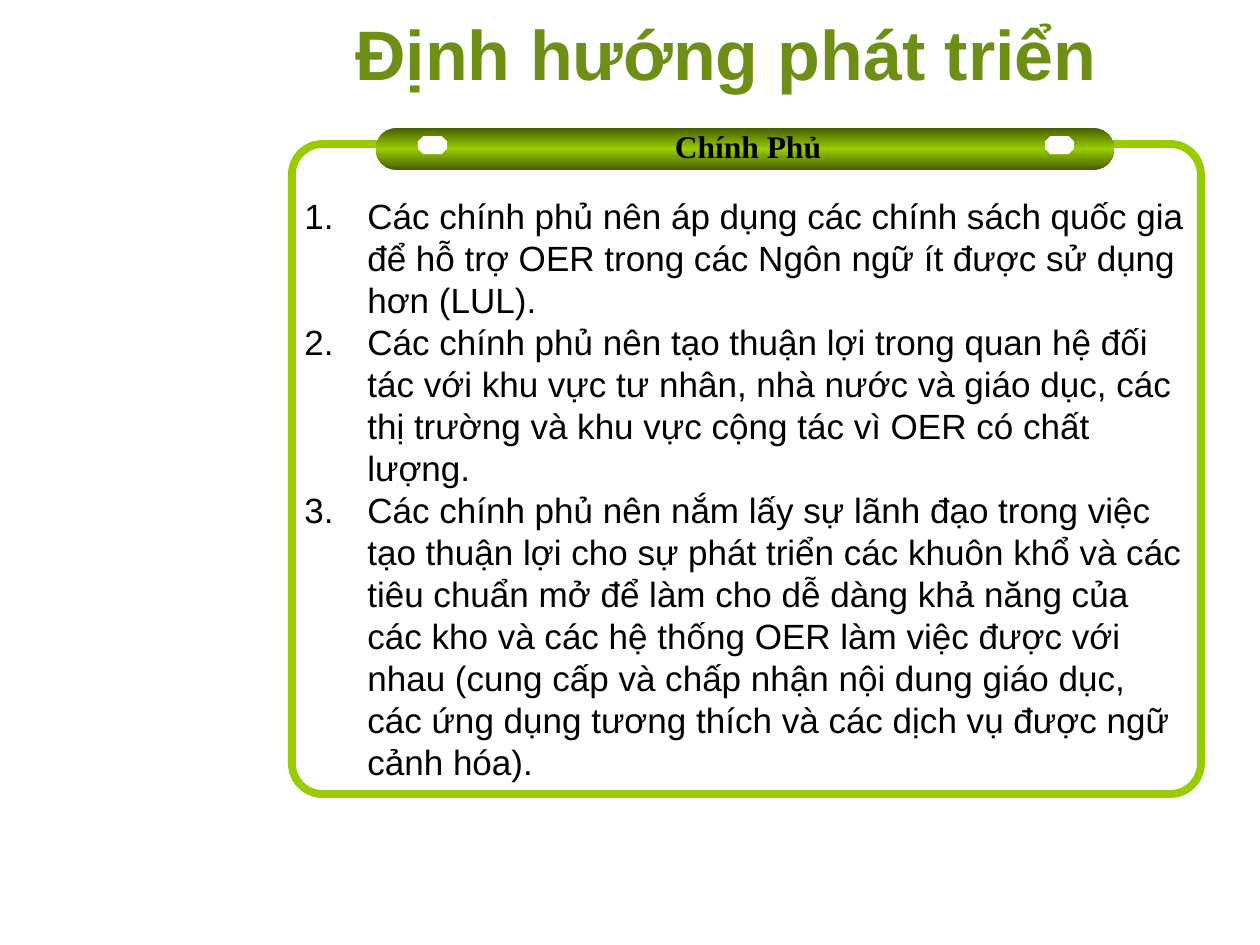
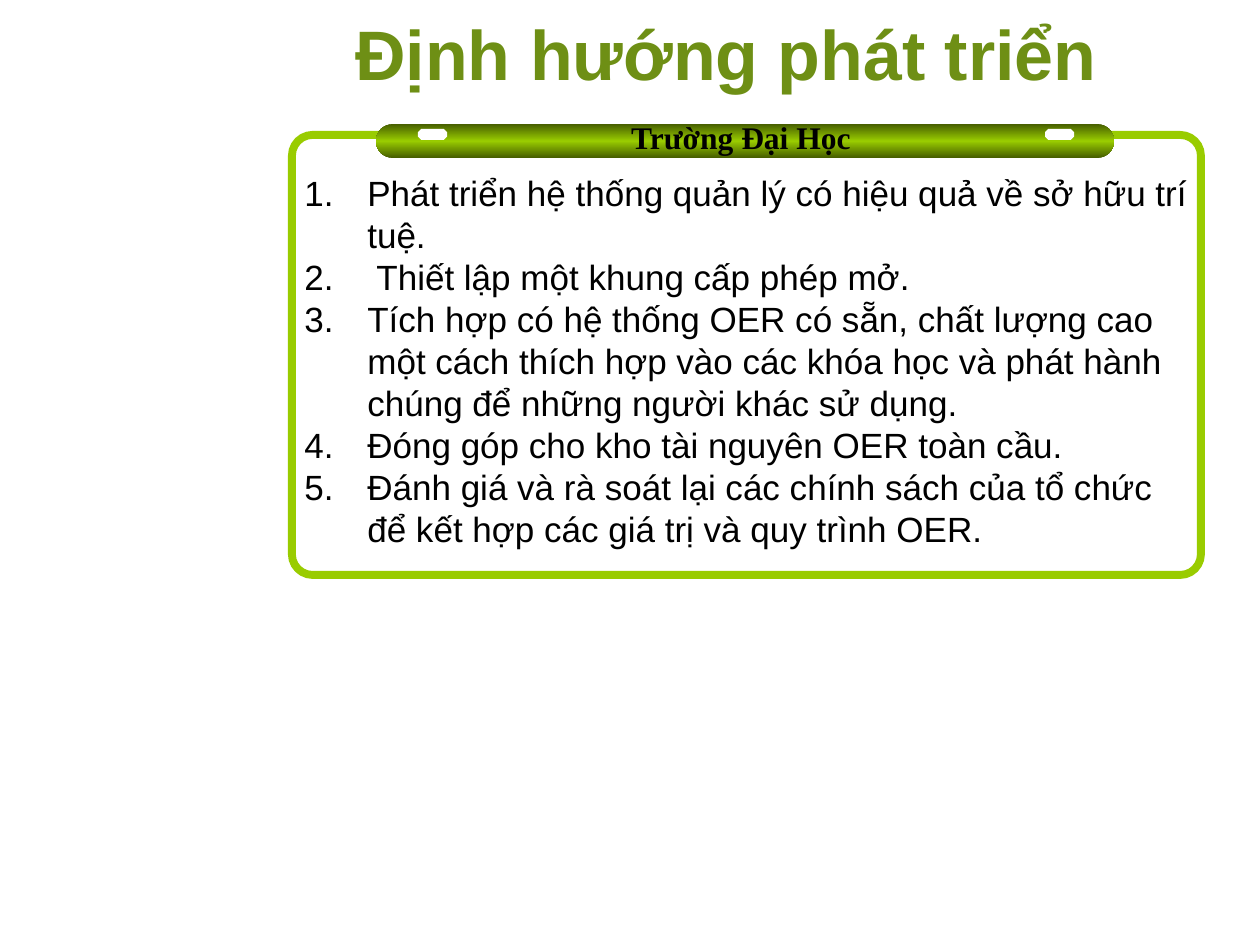
import dataclasses

import pptx
import pptx.dml.color
import pptx.enum.shapes
import pptx.enum.text
import pptx.oxml.xmlchemy
import pptx.util
import copy
import lxml.etree

SHAPES = pptx.enum.shapes.MSO_SHAPE
ALIGN = pptx.enum.text.PP_ALIGN
ANCHOR = pptx.enum.text.MSO_ANCHOR
DRAWING_NS = "{http://schemas.openxmlformats.org/drawingml/2006/main}"
PX_PER_INCH = 126


def rgb(code):
    return pptx.dml.color.RGBColor.from_string(code)


@dataclasses.dataclass(frozen=True)
class Theme:
    lime = rgb("99CC00")
    dark_lime = rgb("465E00")
    white = rgb("FFFFFF")
    frame_line = pptx.util.Pt(4.5)
    corner = 0.047
    title = dict(name="Arial", size=pptx.util.Pt(40), bold=True, color=rgb("6E8F15"))
    label = dict(name="Times New Roman", size=pptx.util.Pt(18), bold=True, color=rgb("000000"))
    body = dict(name="Arial", size=pptx.util.Pt(20), bold=False, color=rgb("000000"))


@dataclasses.dataclass(frozen=True)
class Box:
    left: int
    top: int
    width: int
    height: int

    def inside(self, left, top, width, height):
        return Box(self.left + left, self.top + top, width, height)

    def emu(self):
        return [px(n) for n in (self.left, self.top, self.width, self.height)]


@dataclasses.dataclass(frozen=True)
class Panel:
    """Frame box, heading and list; *_top values are offsets from the frame, or from the bar."""
    frame: Box
    heading: str
    items: tuple
    bar_top: int
    bar_height: int
    rivet_top: int
    rivet_height: int
    label_left: int
    label_top: int
    body_top: int


THEME = Theme()
TITLE = "Định hướng phát triển"
TITLE_BOX = Box(343, 21, 776, 63)

PANELS = (
    Panel(
        Box(292, 144, 909, 650), "Chính Phủ",
        (
            "Các chính phủ nên áp dụng các chính sách quốc gia để hỗ trợ OER trong các "
            "Ngôn ngữ ít được sử dụng hơn (LUL).",
            "Các chính phủ nên tạo thuận lợi trong quan hệ đối tác với khu vực tư nhân, "
            "nhà nước và giáo dục, các thị trường và khu vực cộng tác vì OER có chất lượng.",
            "Các chính phủ nên nắm lấy sự lãnh đạo trong việc tạo thuận lợi cho sự phát "
            "triển các khuôn khổ và các tiêu chuẩn mở để làm cho dễ dàng khả năng của các "
            "kho và các hệ thống OER làm việc được với nhau (cung cấp và chấp nhận nội dung "
            "giáo dục, các ứng dụng tương thích và các dịch vụ được ngữ cảnh hóa).",
        ),
        bar_top=-16, bar_height=42, rivet_top=8, rivet_height=18,
        label_left=305, label_top=-7, body_top=44,
    ),
    Panel(
        Box(292, 135, 909, 440), "Trường Đại Học",
        (
            "Phát triển hệ thống quản lý có hiệu quả về sở hữu trí tuệ.",
            " Thiết lập một khung cấp phép mở.",
            "Tích hợp có hệ thống OER có sẵn, chất lượng cao một cách thích hợp vào các "
            "khóa học và phát hành chúng để những người khác sử dụng.",
            "Đóng góp cho kho tài nguyên OER toàn cầu.",
            "Đánh giá và rà soát lại các chính sách của tổ chức để kết hợp các giá trị "
            "và quy trình OER.",
        ),
        bar_top=-11, bar_height=34, rivet_top=5, rivet_height=11,
        label_left=298, label_top=-12, body_top=30,
    ),
)


def px(count):
    return pptx.util.Emu(round(count * 914400 / PX_PER_INCH))


def add_preset(slide, preset, box):
    shape = slide.shapes.add_shape(preset, *box.emu())
    shape.shadow.inherit = False
    shape.line.fill.background()
    return shape


def add_text(slide, box, lines, style, align=ALIGN.LEFT, anchor=ANCHOR.TOP):
    frame = slide.shapes.add_textbox(*box.emu()).text_frame
    frame.word_wrap = True
    frame.vertical_anchor = anchor
    frame.text = "\n".join(lines)
    for paragraph in frame.paragraphs:
        paragraph.alignment = align
        for attribute, value in style.items():
            if attribute == "color":
                paragraph.runs[0].font.color.rgb = value
            else:
                setattr(paragraph.runs[0].font, attribute, value)
    return frame


def number_paragraphs(frame, indent):
    for paragraph in frame.paragraphs:
        properties = paragraph._p.get_or_add_pPr()
        properties.set("marL", str(indent))
        properties.set("indent", str(-indent))
        lxml.etree.SubElement(properties, DRAWING_NS + "buAutoNum", type="arabicPeriod")


def fill_cylinder(shape):
    """Shade from dark edges to a light middle, top to bottom."""
    fill = shape.fill
    fill.gradient()
    fill.gradient_angle = 90
    edge, middle = fill.gradient_stops
    edge.color.rgb, edge.position = THEME.dark_lime, 0
    middle.color.rgb, middle.position = THEME.lime, 0.5
    far_edge = copy.deepcopy(edge._gs)
    far_edge.set("pos", "100000")
    middle._gs.addnext(far_edge)


def add_heading_bar(slide, box, panel):
    bar = add_preset(slide, SHAPES.ROUNDED_RECTANGLE, box)
    bar.adjustments[0] = 0.5
    fill_cylinder(bar)
    for rivet_left in (42, 669):
        rivet = add_preset(slide, SHAPES.OCTAGON,
                           box.inside(rivet_left, panel.rivet_top, 29, panel.rivet_height))
        rivet.fill.solid()
        rivet.fill.fore_color.rgb = THEME.white
    label_box = Box(panel.frame.left + panel.label_left, box.top + panel.label_top, 302, 46)
    add_text(slide, label_box, [panel.heading], THEME.label, ALIGN.CENTER)


def add_panel(slide, panel):
    box = panel.frame
    border = add_preset(slide, SHAPES.ROUNDED_RECTANGLE, box)
    border.adjustments[0] = THEME.corner
    border.fill.background()
    border.line.color.rgb = THEME.lime
    border.line.width = THEME.frame_line
    add_heading_bar(slide, box.inside(84, panel.bar_top, 738, panel.bar_height), panel)
    body_box = box.inside(0, panel.body_top, box.width, box.height - panel.body_top)
    number_paragraphs(add_text(slide, body_box, panel.items, THEME.body), px(63))


def main():
    deck = pptx.Presentation()
    deck.slide_width, deck.slide_height = px(1260), px(945)
    for panel in PANELS:
        slide = deck.slides.add_slide(deck.slide_layouts[6])
        add_text(slide, TITLE_BOX, [TITLE], THEME.title, anchor=ANCHOR.MIDDLE)
        add_panel(slide, panel)
    deck.save("out.pptx")


if __name__ == "__main__":
    main()
